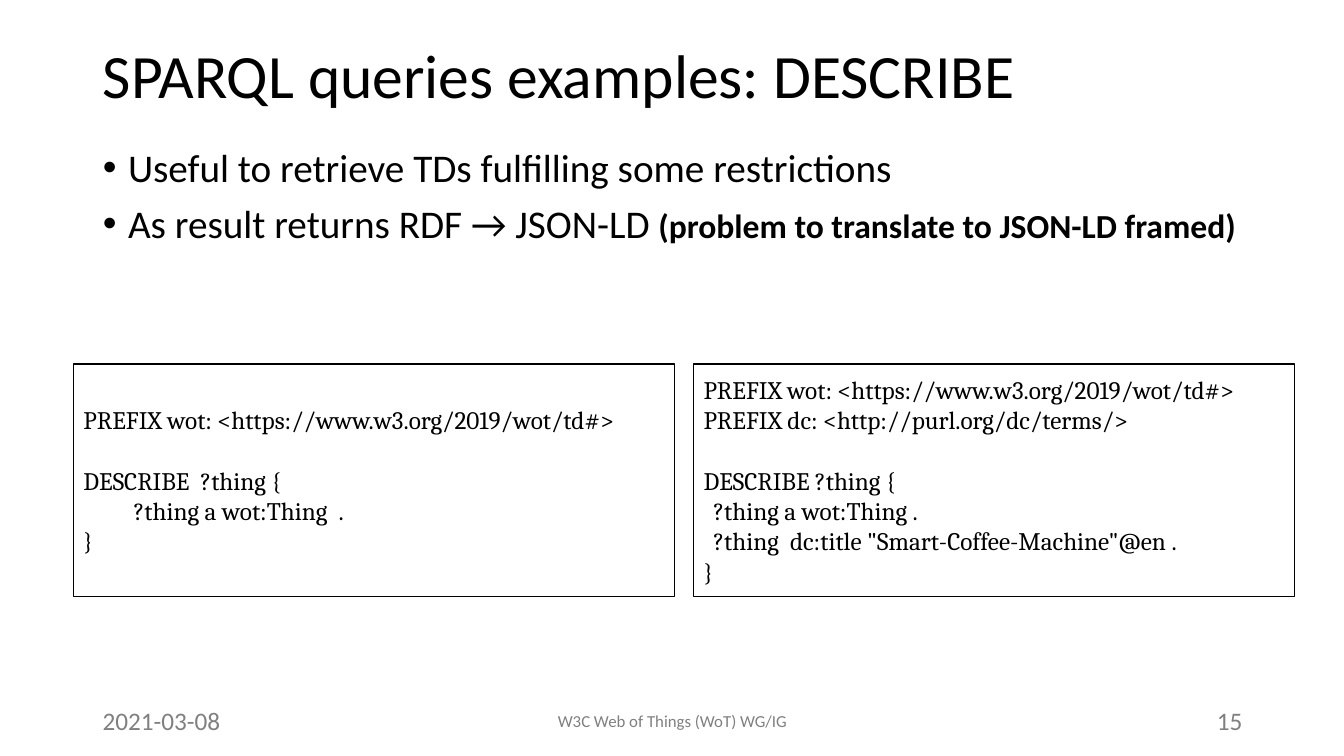
from dataclasses import dataclass

from pptx import Presentation
from pptx.dml.color import RGBColor as Rgb
from pptx.enum.shapes import MSO_SHAPE as Kind
from pptx.enum.text import MSO_ANCHOR as Anchor, MSO_AUTO_SIZE as Fit, PP_ALIGN as Align
from pptx.util import Inches, Pt

COLORS = {"ink": "000000", "paper": "FFFFFF", "grey": "808080"}
LINE = Pt(21.5)  # height of one code line


@dataclass
class Code:
    text: str
    indent: float = 0
    gap: bool = False  # one line of space above


@dataclass
class Foot:
    text: str
    left: float
    width: float
    size: int
    align: Align


def color(name: str) -> Rgb:
    return Rgb.from_string(COLORS[name])


def apply(item, **form) -> None:
    for key, value in form.items():
        setattr(item, key, value)


def place(shape, left: float, top: float, width: float, height: float) -> None:
    apply(shape, left=Inches(left), top=Inches(top),
          width=Inches(width), height=Inches(height))


def write(para, text: str, size: int, face: str = "Calibri",
          ink: str = "ink", bold: bool = False) -> None:
    run = para.add_run()
    run.text = text
    apply(run.font, name=face, size=Pt(size), bold=bold)
    run.font.color.rgb = color(ink)


def rows(frame, count: int) -> list:
    return [frame.paragraphs[0]] + [frame.add_paragraph() for _ in range(count - 1)]


def add_code(slide, left: float, lines: list[Code]) -> None:
    box = slide.shapes.add_shape(Kind.RECTANGLE, Inches(left), Inches(3.61),
                                 Inches(5.96), Inches(2.31))
    box.shadow.inherit = False
    box.fill.solid()
    box.fill.fore_color.rgb = color("paper")
    box.line.color.rgb = color("ink")
    box.line.width = Pt(1)
    frame = box.text_frame
    apply(frame, word_wrap=True, vertical_anchor=Anchor.MIDDLE)
    for para, line in zip(rows(frame, len(lines)), lines):
        apply(para, alignment=Align.LEFT, space_before=LINE if line.gap else Pt(0))
        para._p.get_or_add_pPr().set("marL", str(Inches(line.indent)))
        write(para, line.text, 18, "Cambria")


def add_foot(slide, foot: Foot) -> None:
    box = slide.shapes.add_textbox(Inches(foot.left), Inches(6.95),
                                   Inches(foot.width), Inches(0.4))
    frame = box.text_frame
    apply(frame, word_wrap=True, vertical_anchor=Anchor.MIDDLE)
    para = frame.paragraphs[0]
    para.alignment = foot.align
    write(para, foot.text, foot.size, ink="grey")


deck = Presentation()
apply(deck, slide_width=Inches(13.33), slide_height=Inches(7.5))
slide = deck.slides.add_slide(deck.slide_layouts[1])
title, body = slide.placeholders

# Title
place(title, 0.92, 0.4, 11.5, 1.45)
apply(title.text_frame, vertical_anchor=Anchor.TOP, auto_size=Fit.NONE)
head = title.text_frame.paragraphs[0]
apply(head, alignment=Align.LEFT, line_spacing=0.9)
write(head, "SPARQL queries examples: DESCRIBE", 44)

# Bullet list
BULLETS = [
    [("Useful to retrieve TDs fulfilling some restrictions", 28, False)],
    [("As result returns RDF → JSON-LD ", 28, False),
     ("(problem to translate to JSON-LD framed)", 24, True)],
]
place(body, 0.92, 1.42, 11.5, 5.34)
body.text_frame.auto_size = Fit.NONE
for para, parts in zip(rows(body.text_frame, len(BULLETS)), BULLETS):
    apply(para, line_spacing=0.9, space_before=Pt(10))
    props = para._p.get_or_add_pPr()
    props.set("marL", str(Inches(0.25)))
    props.set("indent", str(Inches(-0.25)))
    for text, size, bold in parts:
        write(para, text, size, bold=bold)

# Query boxes
WOT = Code("PREFIX wot: <https://www.w3.org/2019/wot/td#>")
END = Code("}")
QUERIES = [
    [WOT,
     Code("DESCRIBE  ?thing {", gap=True),
     Code("?thing a wot:Thing  .", 0.5),
     END],
    [WOT,
     Code("PREFIX dc: <http://purl.org/dc/terms/>"),
     Code("DESCRIBE ?thing {", gap=True),
     Code("?thing a wot:Thing .", 0.1),
     Code('?thing  dc:title "Smart-Coffee-Machine"@en .', 0.1),
     END],
]
for col, lines in enumerate(QUERIES):
    add_code(slide, 0.73 + 6.15 * col, lines)

# Footer
for foot in (
    Foot("2021-03-08", 0.92, 3, 18, Align.LEFT),
    Foot("W3C Web of Things (WoT) WG/IG", 4.42, 4.5, 12, Align.CENTER),
    Foot("15", 9.42, 3, 18, Align.RIGHT),
):
    add_foot(slide, foot)

deck.save("out.pptx")
